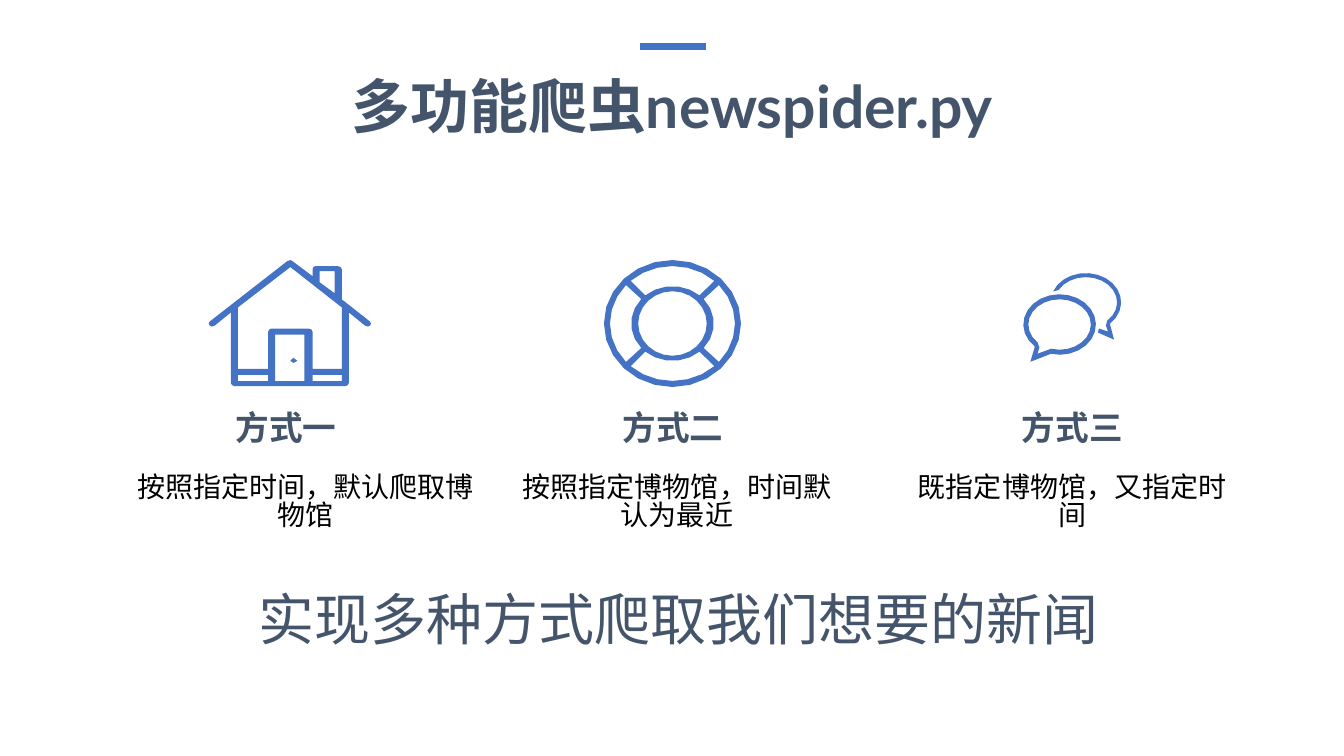
import math

import pptx
import pptx.dml.color
import pptx.enum.shapes
import pptx.enum.text
import pptx.oxml
import pptx.util
from pptx.util import Inches, Pt

BLUE, SLATE, BLACK = "4472C4", "44546A", "000000"


def add_text(box, text, size, font, color, bold=False, wrap=True, centred=True):
    s = slide.shapes.add_textbox(*map(Inches, box))
    tf = s.text_frame
    tf.text = text
    tf.word_wrap = wrap
    tf.auto_size = pptx.enum.text.MSO_AUTO_SIZE.SHAPE_TO_FIT_TEXT
    p = tf.paragraphs[0]
    if centred:
        p.alignment = pptx.enum.text.PP_ALIGN.CENTER
    f = p.runs[0].font
    f.size, f.name, f.bold = Pt(size), font, bold
    f.color.rgb = pptx.dml.color.RGBColor.from_string(color)
    return tf


def arc(cx, cy, rx, ry, start, end):
    """Points on an ellipse; angles in degrees, growing clockwise."""
    n = max(4, round(abs(end - start) / 15))
    angles = [math.radians(start + (end - start) * i / n) for i in range(n + 1)]
    return [(cx + rx * math.cos(a), cy + ry * math.sin(a)) for a in angles]


prs = pptx.Presentation()
prs.slide_width, prs.slide_height = Inches(13.33), Inches(7.5)
slide = prs.slides.add_slide(prs.slide_layouts[6])

# Title with the accent line above it
add_text((3.27, 0.64, 6.8, 0.81), "多功能爬虫newspider.py", 42, "Lato", SLATE,
         bold=True, wrap=False)
accent = slide.shapes.add_connector(
    pptx.enum.shapes.MSO_CONNECTOR.STRAIGHT,
    Inches(6.35), Inches(0.46), Inches(7), Inches(0.46))
accent.line.color.rgb = pptx.dml.color.RGBColor.from_string(BLUE)
accent.line.width = Pt(4.5)
accent._element.spPr.append(pptx.oxml.parse_xml(
    '<a:effectLst xmlns:a="http://schemas.openxmlformats.org/drawingml/2006/main"/>'))

# Three ways: heading and description
ways = [
    ("方式一", 2.23, "按照指定时间，默认爬取博物馆", 1.21, 3.64),
    ("方式二", 6.07, "按照指定博物馆，时间默认为最近", 5.05, 3.33),
    ("方式三", 10.03, "既指定博物馆，又指定时间", 8.97, 3.33),
]
for heading, heading_left, detail, detail_left, detail_width in ways:
    tf = add_text((detail_left, 4.65, detail_width, 0.69), detail, 20, "Manrope", BLACK)
    tf.margin_left = tf.margin_right = Inches(0.12)
    tf.margin_top = tf.margin_bottom = Inches(0.06)
    tf.paragraphs[0].line_spacing = Pt(20.2)
    tf.paragraphs[0].space_before = Pt(4)
    tf = add_text((heading_left, 3.99, 1.21, 0.5), heading, 24, "Manrope", SLATE,
                  bold=True, wrap=False)
    tf.vertical_anchor = pptx.enum.text.MSO_ANCHOR.MIDDLE

# Icons: outlines run counter-clockwise, the holes in them clockwise
house = [
    [(3.67, 3.19), (3.39, 2.97), (3.39, 2.67), (3.38, 2.65), (3.35, 2.64),
     (3.13, 2.64), (3.11, 2.65), (3.1, 2.67), (3.1, 2.74), (2.9, 2.59),
     (2.88, 2.58), (2.85, 2.59), (2.08, 3.19), (2.07, 3.21), (2.08, 3.23),
     (2.1, 3.24), (2.13, 3.23), (2.29, 3.1), (2.29, 3.8), (2.3, 3.82),
     (2.32, 3.83), (3.43, 3.83), (3.45, 3.82), (3.46, 3.8), (3.46, 3.1),
     (3.62, 3.23), (3.65, 3.24), (3.67, 3.23), (3.68, 3.21)],
    [(3.39, 3.66), (3.1, 3.66), (3.1, 3.29), (3.09, 3.27), (3.06, 3.26),
     (2.69, 3.26), (2.67, 3.27), (2.66, 3.29), (2.66, 3.66), (2.36, 3.66),
     (2.36, 3.05), (2.88, 2.65), (3.39, 3.05)],
    [(3.17, 2.69), (3.32, 2.69), (3.32, 2.91), (3.17, 2.8)],
    [(2.91, 3.6), (2.88, 3.58), (2.91, 3.55), (2.95, 3.58)],
]
for left, top, right in [(2.36, 3.72, 2.66), (2.73, 3.32, 3.02), (3.1, 3.72, 3.39)]:
    house.append([(left, top), (right, top), (right, 3.78), (left, 3.78)])

centre = (6.67, 3.21)
lifebuoy = [arc(*centre, 0.68, 0.63, 360, 0), arc(*centre, 0.34, 0.32, 0, 360)]
for middle in range(0, 360, 90):
    lifebuoy.append(arc(*centre, 0.62, 0.57, middle - 42, middle + 42)
                    + arc(*centre, 0.41, 0.37, middle + 41, middle - 41))

front, back = (10.51, 3.22), (10.77, 3)
bubbles = [
    arc(*front, 0.36, 0.3, 104, -227) + [(10.22, 3.59)],
    arc(*front, 0.31, 0.25, 135, 466) + [(10.4, 3.47), (10.29, 3.51), (10.31, 3.45)],
    arc(*back, 0.35, 0.29, 47, -158) + arc(*back, 0.31, 0.25, 209, 407)
    + [(10.97, 3.23), (10.99, 3.29), (10.9, 3.26), (10.89, 3.3), (11.05, 3.37)],
]

for icon in (house, lifebuoy, bubbles):
    contours = [[(Inches(x), Inches(y)) for x, y in points] for points in icon]
    builder = slide.shapes.build_freeform(*contours[0][0])
    for i, points in enumerate(contours):
        if i:
            builder.move_to(*points[0])
        builder.add_line_segments(points[1:], close=True)
    s = builder.convert_to_shape()
    s.shadow.inherit = False
    s.fill.solid()
    s.fill.fore_color.rgb = pptx.dml.color.RGBColor.from_string(BLUE)
    s.line.fill.background()

# Summary
tf = add_text((2.47, 5.79, 10.4, 0.73), "实现多种方式爬取我们想要的新闻", 40, "Lato", SLATE,
              centred=False)
tf.paragraphs[0].line_spacing = Pt(45.1)

prs.save("out.pptx")
